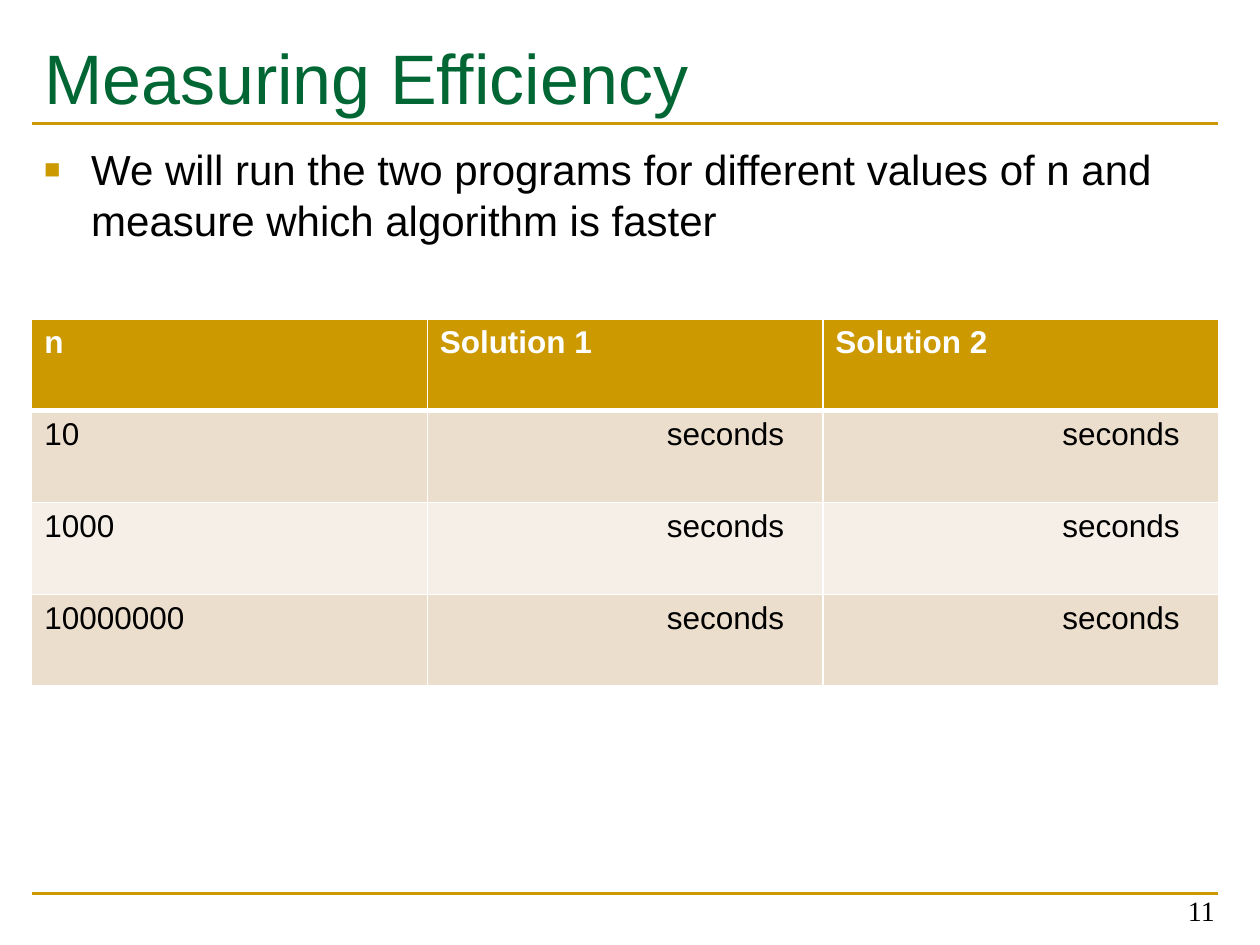
from lxml import etree
from pptx import Presentation
from pptx.dml.color import RGBColor
from pptx.enum.shapes import MSO_CONNECTOR
from pptx.enum.text import MSO_ANCHOR, PP_ALIGN
from pptx.oxml.ns import qn
from pptx.util import Cm, Pt

STRAIGHT = MSO_CONNECTOR.STRAIGHT
TOP, BOTTOM = MSO_ANCHOR.TOP, MSO_ANCHOR.BOTTOM
LEFT, RIGHT = PP_ALIGN.LEFT, PP_ALIGN.RIGHT

GOLD, GREEN, WHITE, BLACK = "CC9900", "006633", "FFFFFF", "000000"
BANDS = ("ECDECC", "F6EFE7")
MARGIN, CONTENT_WIDTH = 0.64, 23.92
COLUMN_WIDTH, ROW_HEIGHT = CONTENT_WIDTH / 3, 1.85
ROWS = (
    ("n", "Solution 1", "Solution 2"),
    ("10", "seconds", "seconds"),
    ("1000", "seconds", "seconds"),
    ("10000000", "seconds", "seconds"),
)


def color(value):
    return RGBColor.from_string(value)


def add_run(paragraph, text, size, fill, font="Arial", bold=False):
    run = paragraph.add_run()
    run.text = text
    run.font.name = font
    run.font.size = Pt(size)
    run.font.bold = bold
    run.font.color.rgb = color(fill)


def add_rule(slide, top):
    rule = slide.shapes.add_connector(
        STRAIGHT, Cm(MARGIN), Cm(top), Cm(MARGIN + CONTENT_WIDTH), Cm(top))
    rule.line.color.rgb = color(GOLD)
    rule.line.width = Pt(1.5)
    etree.SubElement(rule._element.spPr, qn("a:effectLst"))


def add_text_box(slide, left, top, width, height, anchor=TOP, margin_top=0.13):
    frame = slide.shapes.add_textbox(
        Cm(left), Cm(top), Cm(width), Cm(height)).text_frame
    frame.word_wrap = True
    frame.vertical_anchor = anchor
    frame.margin_top = Cm(margin_top)
    return frame.paragraphs[0]


def add_bullet(paragraph, indent):
    properties = paragraph._p.get_or_add_pPr()
    properties.set("marL", str(Cm(indent)))
    properties.set("indent", str(-Cm(indent)))
    bullet_color = etree.SubElement(properties, qn("a:buClr"))
    etree.SubElement(bullet_color, qn("a:srgbClr"), val=GOLD)
    etree.SubElement(properties, qn("a:buSzPct"), val="65000")
    etree.SubElement(properties, qn("a:buFont"), typeface="Arial")
    etree.SubElement(properties, qn("a:buChar"), char="■")


def set_borders(cell, widths):
    properties = cell._tc.get_or_add_tcPr()
    for position, (side, width) in enumerate(widths.items()):
        line = etree.Element(qn(f"a:ln{side}"), w=str(Pt(width)))
        fill = etree.SubElement(line, qn("a:solidFill"))
        etree.SubElement(fill, qn("a:srgbClr"), val=WHITE)
        properties.insert(position, line)


def add_timing_table(slide, top):
    table = slide.shapes.add_table(
        len(ROWS), len(ROWS[0]), Cm(MARGIN), Cm(top),
        Cm(CONTENT_WIDTH), Cm(ROW_HEIGHT * len(ROWS))).table
    for column in table.columns:
        column.width = Cm(COLUMN_WIDTH)
    for row_index, texts in enumerate(ROWS):
        table.rows[row_index].height = Cm(ROW_HEIGHT)
        header = row_index == 0
        for column_index, text in enumerate(texts):
            cell = table.cell(row_index, column_index)
            cell.fill.solid()
            cell.fill.fore_color.rgb = color(
                GOLD if header else BANDS[(row_index - 1) % 2])
            set_borders(cell, {"L": 1, "R": 1,
                               "T": 3 if row_index == 1 else 1,
                               "B": 3 if header else 1})
            paragraph = cell.text_frame.paragraphs[0]
            paragraph.alignment = LEFT
            if column_index and not header:
                paragraph.alignment = RIGHT
                cell.margin_right = Cm(0.78)
            add_run(paragraph, text, 18, WHITE if header else BLACK, bold=header)


def main():
    presentation = Presentation()
    presentation.slide_width, presentation.slide_height = Cm(25.4), Cm(19.05)
    slide = presentation.slides.add_slide(presentation.slide_layouts[6])

    add_rule(slide, 18.01)
    add_rule(slide, 2.49)

    title = add_text_box(slide, MARGIN, 0.43, CONTENT_WIDTH, 2.97, margin_top=0.27)
    add_run(title, "Measuring Efficiency", 40, GREEN)

    body = add_text_box(slide, MARGIN, 2.77, CONTENT_WIDTH, 14.43)
    add_bullet(body, 0.95)
    add_run(body, "We will run the two programs for different values of n "
                  "and measure which algorithm is faster", 24, BLACK)

    page_number = add_text_box(slide, 18.82, 17.55, 5.92, 1.27, BOTTOM)
    page_number.alignment = RIGHT
    add_run(page_number, "11", 16, BLACK, "Times New Roman")

    add_timing_table(slide, 6.43)
    presentation.save("out.pptx")


if __name__ == "__main__":
    main()
